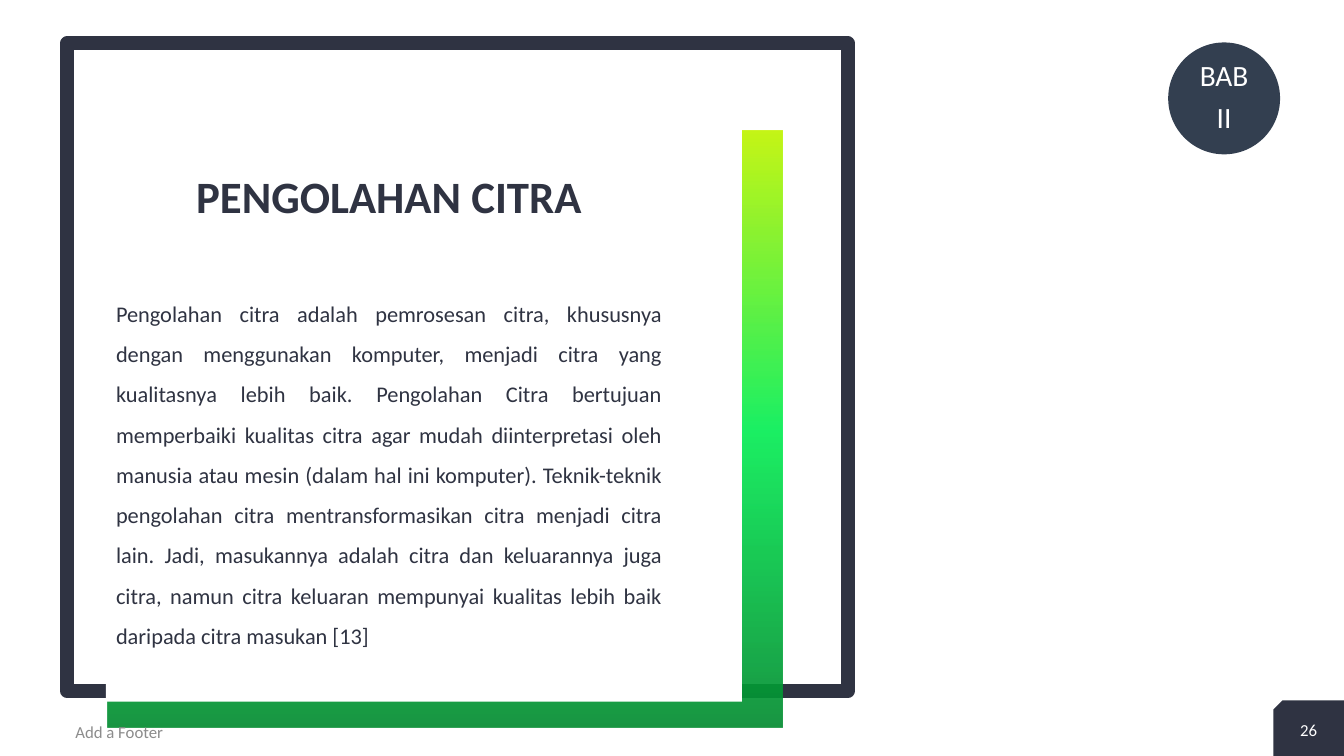
from pptx import Presentation
from pptx.dml.color import RGBColor
from pptx.enum.shapes import MSO_SHAPE
from pptx.enum.text import MSO_ANCHOR, MSO_AUTO_SIZE, PP_ALIGN
from pptx.oxml import parse_xml
from pptx.oxml.ns import nsdecls
from pptx.util import Cm, Pt

RECTANGLE = MSO_SHAPE.RECTANGLE
OVAL = MSO_SHAPE.OVAL
SNIPPED = MSO_SHAPE.SNIP_1_RECTANGLE
TOP, MIDDLE, BOTTOM = MSO_ANCHOR.TOP, MSO_ANCHOR.MIDDLE, MSO_ANCHOR.BOTTOM
LEFT, CENTER, JUSTIFY = PP_ALIGN.LEFT, PP_ALIGN.CENTER, PP_ALIGN.JUSTIFY

NAVY, SLATE, GREY, WHITE = "2F3342", "333F50", "8C8C8C", "FFFFFF"
GRADIENT = [(0, "038B30"), (50, "05EE55"), (100, "C0F400")]
FONT = "Calibri"

BODY = (
    "Pengolahan citra adalah pemrosesan citra, khususnya dengan menggunakan "
    "komputer, menjadi citra yang kualitasnya lebih baik. Pengolahan Citra "
    "bertujuan memperbaiki kualitas citra agar mudah diinterpretasi oleh manusia "
    "atau mesin (dalam hal ini komputer). Teknik-teknik pengolahan citra "
    "mentransformasikan citra menjadi citra lain. Jadi, masukannya adalah citra "
    "dan keluarannya juga citra, namun citra keluaran mempunyai kualitas lebih "
    "baik daripada citra masukan [13]"
)


def color(hex_value):
    return RGBColor.from_string(hex_value)


def set_attributes(target, values):
    for name, value in values.items():
        setattr(target, name, value)


def place(shape, box):
    names = ("left", "top", "width", "height")
    set_attributes(shape, {name: Cm(length) for name, length in zip(names, box)})


def add_plain_shape(shapes, kind, box, fill=None):
    """Add a shape without shadow or outline; no fill colour leaves it open."""
    shape = shapes.add_shape(kind, *map(Cm, box))
    shape.shadow.inherit = False
    shape.line.fill.background()
    if fill:
        shape.fill.solid()
        shape.fill.fore_color.rgb = color(fill)
    else:
        shape.fill.background()
    return shape


def write(shape, lines, size, text_color, anchor=MIDDLE, bold=False, **layout):
    frame = shape.text_frame
    set_attributes(frame, {"word_wrap": True, "auto_size": MSO_AUTO_SIZE.NONE,
                           "vertical_anchor": anchor})
    frame.text = "\n".join(lines)
    for paragraph in frame.paragraphs:
        set_attributes(paragraph, {"space_before": Pt(0), **layout})
        for run in paragraph.runs:
            set_attributes(run.font, {"name": FONT, "size": Pt(size), "bold": bold})
            run.font.color.rgb = color(text_color)


def add_label(shapes, box, lines, size, text_color, **layout):
    label = shapes.add_textbox(*map(Cm, box))
    write(label, lines, size, text_color, **layout)
    return label


def fill_gradient(shape):
    """Fill upwards through the three stops at 70 % opacity."""
    stops = "".join(
        f'<a:gs pos="{position * 1000}"><a:srgbClr val="{color(value)}">'
        f'<a:alpha val="70000"/></a:srgbClr></a:gs>'
        for position, value in GRADIENT
    )
    gradient = parse_xml(
        f'<a:gradFill {nsdecls("a")} rotWithShape="1"><a:gsLst>{stops}</a:gsLst>'
        '<a:lin ang="16200000" scaled="0"/></a:gradFill>'
    )
    properties = shape._element.spPr
    properties.replace(properties.find("{*}noFill"), gradient)


def add_panel(slide, box):
    """Draw the frame, the doubled gradient and the white card."""
    left, top, width, height = box
    frame = add_plain_shape(slide.shapes, RECTANGLE, box)
    frame.line.color.rgb = color(NAVY)
    frame.line.width = Pt(10)
    for _ in range(2):
        fill_gradient(add_plain_shape(
            slide.shapes, RECTANGLE, (left + 1.02, top + 2.19, 16.99, 15.06)))
    add_plain_shape(slide.shapes, RECTANGLE,
                    (left + 0.97, top + 0.74, 16.03, 15.85), WHITE)


def add_content(slide, box):
    left, top, width, height = box
    title, body = slide.shapes.title, slide.placeholders[1]
    for placeholder in (title, body):
        # Later shapes have been drawn, so the text moves in front of the card.
        slide.shapes._spTree.append(placeholder._element)
    place(title, (left, top, width, 1.63))
    write(title, ["PENGOLAHAN CITRA"], 32, NAVY, BOTTOM, True,
          alignment=CENTER, line_spacing=0.9)
    place(body, (left, top + 2.98, width, height - 2.98))
    write(body, [BODY], 16, NAVY, TOP, alignment=JUSTIFY, line_spacing=1.5)
    properties = body.text_frame.paragraphs[0]._p.get_or_add_pPr()
    properties.set("marL", "0")
    properties.set("indent", "0")
    properties.append(parse_xml(f'<a:buNone {nsdecls("a")}/>'))


def add_footer(slide, box):
    left, top, width, height = box
    add_label(slide.shapes, (left + 1.65, top + 0.28, 11.43, 1.02),
              ["Add a Footer"], 12, GREY, alignment=LEFT)
    tab_width = 1.78
    tab_left = left + width - tab_width
    tab = add_plain_shape(slide.shapes, SNIPPED,
                          (tab_left, top, tab_width, height), NAVY)
    tab._element.spPr.xfrm.set("flipH", "1")
    add_label(slide.shapes, (tab_left, top + 0.16, tab_width, 1.14),
              ["26"], 12, WHITE, alignment=CENTER)


def add_chapter_badge(slide, box):
    left, top, width, height = box
    inset = 0.4
    shapes = slide.shapes.add_group_shape().shapes
    add_plain_shape(shapes, OVAL, box, SLATE)
    label = add_label(
        shapes, (left + inset, top + inset, width - 2 * inset, height - 2 * inset),
        ["BAB", "II"], 21, WHITE,
        alignment=CENTER, line_spacing=0.9, space_after=Pt(7.35))
    sides = ("left", "top", "right", "bottom")
    set_attributes(label.text_frame, {f"margin_{side}": 0 for side in sides})


def main():
    presentation = Presentation()
    set_attributes(presentation, {"slide_width": Cm(33.87), "slide_height": Cm(19.05)})
    slide = presentation.slides.add_slide(presentation.slide_layouts[1])
    add_panel(slide, (1.7, 1.09, 19.66, 16.33))
    add_content(slide, (2.67, 4.11, 14.27, 12.4))
    add_footer(slide, (0, 17.65, 33.87, 1.4))
    add_chapter_badge(slide, (29.44, 1.07, 2.82, 2.82))
    presentation.save("out.pptx")


if __name__ == "__main__":
    main()
